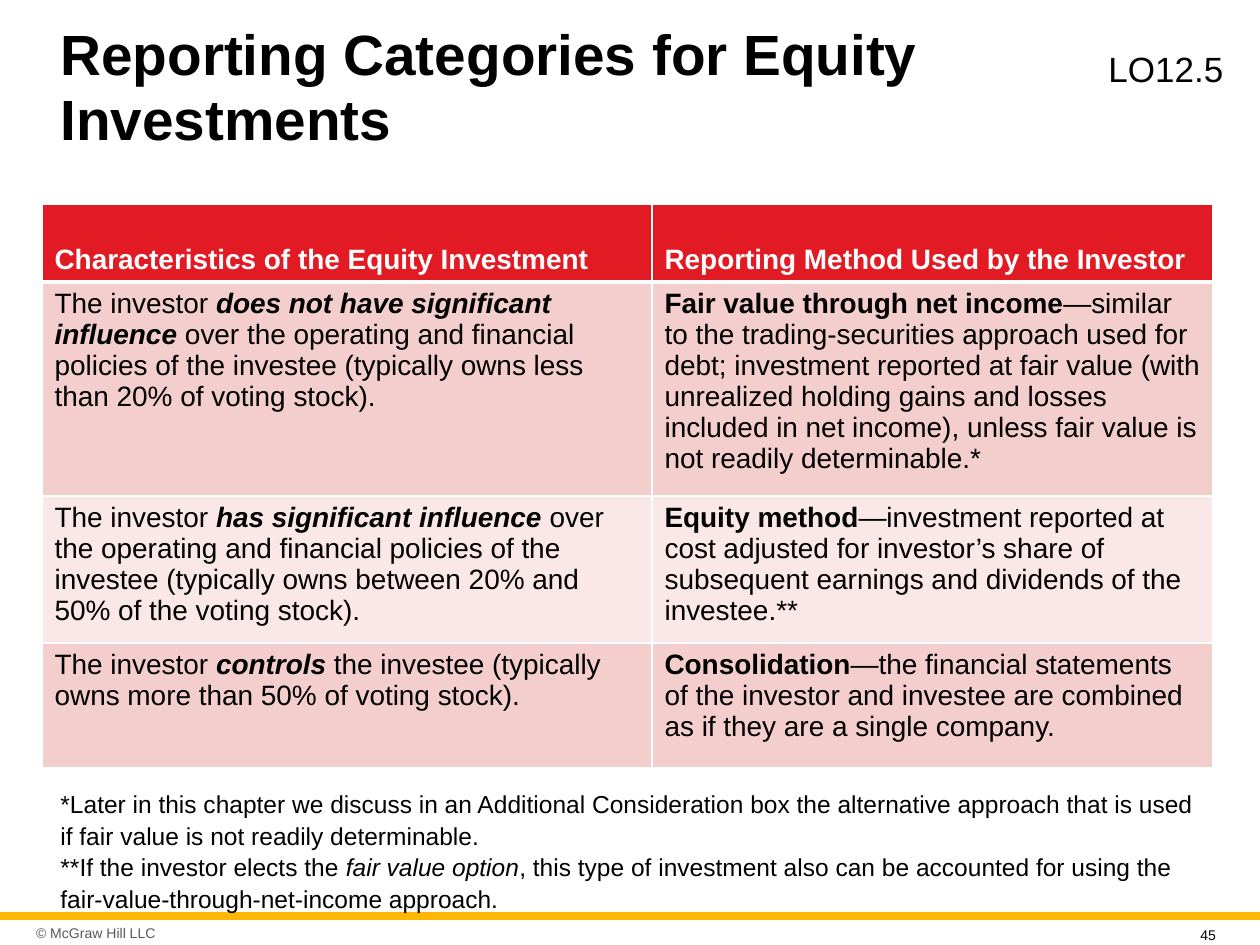
from lxml.etree import SubElement
from pptx import Presentation
from pptx.dml.color import RGBColor
from pptx.enum.shapes import MSO_SHAPE
from pptx.enum.text import MSO_ANCHOR
from pptx.oxml.ns import qn
from pptx.util import Emu, Pt

PX_PER_INCH = 126
COLORS = {"black": "000000", "white": "FFFFFF", "gray": "595959", "gold": "FFB600",
          "red": "E21A23", "rose": "F4CDCD", "blush": "FAE8E8"}
BOLD = {"bold": True}
ITALIC = {"italic": True}
KEY = {"bold": True, "italic": True}

HEADINGS = ["Characteristics of the Equity Investment", "Reporting Method Used by the Investor"]
CATEGORIES = [
    ([("The investor ", {}), ("does not have significant influence ", KEY),
      ("over the operating and financial policies of the investee "
       "(typically owns less than 20% of voting stock).", {})],
     [("Fair value through net income", BOLD),
      ("—similar to the trading-securities approach used for debt; investment reported at "
       "fair value (with unrealized holding gains and losses included in net income), "
       "unless fair value is not readily determinable.*", {})]),
    ([("The investor ", {}), ("has significant influence", KEY),
      (" over the operating and financial policies of the investee "
       "(typically owns between 20% and 50% of the voting stock).", {})],
     [("Equity method", BOLD),
      ("—investment reported at cost adjusted for investor’s share of subsequent "
       "earnings and dividends of the investee.**", {})]),
    ([("The investor ", {}), ("controls", KEY),
      (" the investee (typically owns more than 50% of voting stock).", {})],
     [("Consolidation", BOLD),
      ("—the financial statements of the investor and investee are combined "
       "as if they are a single company.", {})]),
]
FOOTNOTES = [
    [("*Later in this chapter we discuss in an Additional Consideration box the alternative "
      "approach that is used if fair value is not readily determinable.", {})],
    [("**If the investor elects the ", {}), ("fair value option", ITALIC),
      (", this type of investment also can be accounted for using the "
       "fair-value-through-net-income approach.", {})],
]


def px(length):
    return Emu(round(length * 914400 / PX_PER_INCH))


def color(name):
    return RGBColor.from_string(COLORS[name])


def write(frame, paragraphs, size, ink="black", spacing=None):
    """Fill a text frame with paragraphs, each a list of (text, format) spans."""
    for index, spans in enumerate(paragraphs):
        para = frame.paragraphs[0] if index == 0 else frame.add_paragraph()
        if spacing:
            para.line_spacing = spacing
        for text, formats in spans:
            span = para.add_run()
            span.text = text
            values = {"name": "Arial", "size": Pt(size), "bold": False, "italic": False}
            for attribute, value in {**values, **formats}.items():
                setattr(span.font, attribute, value)
            span.font.color.rgb = color(ink)


def add_text(page, area, paragraphs, size, ink="black", spacing=None,
             anchor=MSO_ANCHOR.TOP, inset=None):
    box = page.shapes.add_textbox(*map(px, area))
    frame = box.text_frame
    frame.word_wrap = True
    frame.vertical_anchor = anchor
    if inset is not None:
        for side in ("left", "top", "right", "bottom"):
            setattr(frame, f"margin_{side}", px(inset))
    write(frame, paragraphs, size, ink, spacing)


def set_borders(cell, widths):
    properties = cell._tc.get_or_add_tcPr()
    for side in "LRTB":
        line = SubElement(properties, qn(f"a:ln{side}"), w=str(Pt(widths.get(side, 1))))
        fill = SubElement(line, qn("a:solidFill"))
        SubElement(fill, qn("a:srgbClr"), val=COLORS["white"])


def add_heading(page, left, top, width, height):
    add_text(page, (left, top, width, height),
             [[("Reporting Categories for Equity Investments", BOLD)]],
             32.4, spacing=0.96, anchor=MSO_ANCHOR.MIDDLE)
    # Learning objective tag
    add_text(page, (left + width - 118, top + 15, 145, 52), [[("LO12.5", {})]], 20)


def add_categories(page, left, top, width, height):
    heights = [78, 212, 145, 125]
    columns = [610, width - 610]
    table = page.shapes.add_table(len(heights), len(columns),
                                  *map(px, (left, top, width, height))).table
    table.horz_banding = False
    for column, size in zip(table.columns, columns):
        column.width = px(size)
    for row, size in zip(table.rows, heights):
        row.height = px(size)

    rows = [[[(text, BOLD)] for text in HEADINGS], *CATEGORIES]
    for r, entries in enumerate(rows):
        is_header = r == 0
        fill = "red" if is_header else "rose" if r % 2 else "blush"
        for c, spans in enumerate(entries):
            cell = table.cell(r, c)
            set_borders(cell, {0: {"B": 3}, 1: {"T": 3}}.get(r, {}))
            cell.fill.solid()
            cell.fill.fore_color.rgb = color(fill)
            cell.vertical_anchor = MSO_ANCHOR.BOTTOM if is_header else MSO_ANCHOR.TOP
            write(cell.text_frame, [spans], 16, "white" if is_header else "black")


def add_footer(page, left, top, width, height):
    # Gold rule
    rule = page.shapes.add_shape(MSO_SHAPE.RECTANGLE, *map(px, (left, top, width, 8)))
    rule.shadow.inherit = False
    rule.fill.solid()
    rule.fill.fore_color.rgb = color("gold")
    rule.line.fill.background()
    # Copyright line and page number
    add_text(page, (left + 30, top + 6, 170, height - 8), [[("© McGraw Hill LLC", {})]],
             8, "gray", anchor=MSO_ANCHOR.MIDDLE, inset=6)
    add_text(page, (left + width - 72, top + 8, 49, 23), [[("45", {})]], 8)


def main():
    deck = Presentation()
    deck.slide_width, deck.slide_height = px(1260), px(945)
    page = deck.slides.add_slide(deck.slide_layouts[6])
    add_footer(page, 0, 912, 1260, 38)
    add_heading(page, 48, 26, 1166, 125)
    add_categories(page, 42, 204, 1171, 560)
    # Footnotes
    add_text(page, (48, 781, 1166, 126), FOOTNOTES, 14, spacing=1.07)
    deck.save("out.pptx")


if __name__ == "__main__":
    main()
